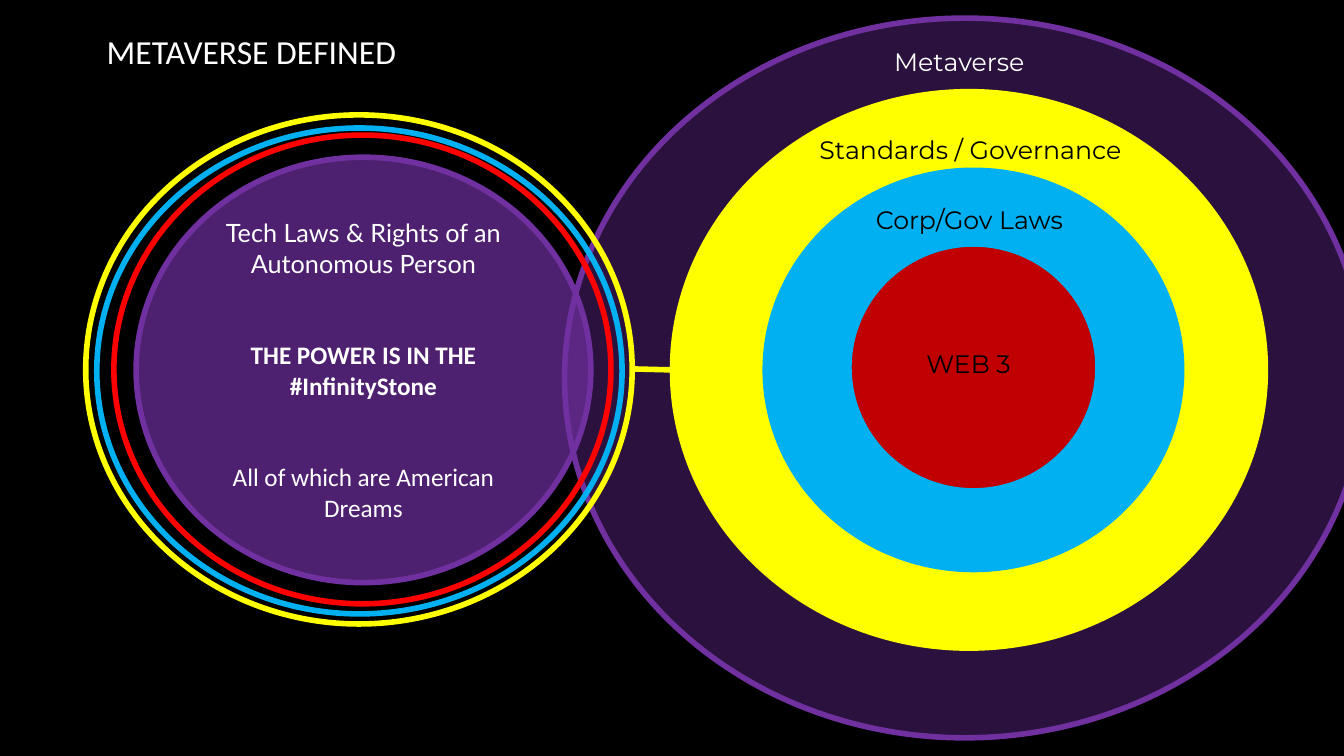
from pptx import Presentation
from pptx.dml.color import RGBColor
from pptx.enum.shapes import MSO_CONNECTOR as CONN, MSO_SHAPE as SHAPE
from pptx.enum.text import MSO_ANCHOR as ANCHOR, PP_ALIGN as ALIGN
from pptx.oxml.ns import qn
from pptx.util import Emu, Pt
from lxml.etree import SubElement

BLACK = RGBColor(0x00, 0x00, 0x00)
WHITE = RGBColor(0xFF, 0xFF, 0xFF)
PURPLE = RGBColor(0x70, 0x30, 0xA0)
YELLOW = RGBColor(0xFF, 0xFF, 0x00)
BLUE = RGBColor(0x00, 0xB0, 0xF0)
RED = RGBColor(0xFF, 0x00, 0x00)
DARK_RED = RGBColor(0xC0, 0x00, 0x00)
LINE_WIDTH = Pt(4)


def px(n):
    return Emu(n * 9144)


def add_ellipse(s, box, line, fill=None, opacity=100):
    sp = s.shapes.add_shape(SHAPE.OVAL, *map(px, box))
    sp.shadow.inherit = False
    sp.line.color.rgb = line
    sp.line.width = LINE_WIDTH
    if fill is None:
        sp.fill.background()
        return sp
    sp.fill.solid()
    sp.fill.fore_color.rgb = fill
    if opacity < 100:
        color = sp.fill._xPr.find(qn("a:solidFill"))[0]
        SubElement(color, qn("a:alpha"), val=str(opacity * 1000))
    return sp


def write(p, text, size=18, font="Calibri", color=WHITE, bold=False,
          align=ALIGN.CENTER, before=0):
    p.alignment = align
    p.space_before = Pt(before)
    p.text = text
    for r in p.runs:
        r.font.size = Pt(size)
        r.font.name = font
        r.font.bold = bold
        r.font.color.rgb = color


def add_label(s, box, text, **fmt):
    tf = s.shapes.add_textbox(*map(px, box)).text_frame
    tf.word_wrap = True
    write(tf.paragraphs[0], text, **fmt)


def add_link(s, x1, y1, x2, y2, color):
    c = s.shapes.add_connector(CONN.STRAIGHT, *map(px, (x1, y1, x2, y2)))
    c.line.color.rgb = color
    c.line.width = LINE_WIDTH
    SubElement(c._element.spPr, qn("a:effectLst"))


def add_person_circle(s):
    sp = add_ellipse(s, (135, 156, 451, 422), PURPLE, PURPLE, 70)
    tf = sp.text_frame
    tf.word_wrap = True
    tf.vertical_anchor = ANCHOR.MIDDLE
    write(tf.paragraphs[0], "Tech Laws & Rights of an Autonomous Person",
          font="Lato")
    write(tf.add_paragraph(), "THE POWER IS IN THE\v#InfinityStone",
          bold=True, before=44)
    write(tf.add_paragraph(), "All of which are American Dreams", before=44)


def main():
    prs = Presentation()
    prs.slide_width, prs.slide_height = px(1333), px(750)
    s = prs.slides.add_slide(prs.slide_layouts[6])
    s.background.fill.solid()
    s.background.fill.fore_color.rgb = BLACK

    add_ellipse(s, (560, 18, 794, 714), PURPLE, PURPLE, 39)
    add_ellipse(s, (113, 134, 493, 465), RED)
    add_ellipse(s, (667, 91, 588, 552), YELLOW, YELLOW)
    add_ellipse(s, (759, 169, 413, 396), BLUE, BLUE)
    add_ellipse(s, (842, 242, 247, 245), BLUE, DARK_RED)
    add_link(s, 627, 366, 667, 367, YELLOW)
    add_ellipse(s, (85, 114, 542, 505), YELLOW)
    add_ellipse(s, (96, 127, 521, 482), BLUE)

    add_label(s, (96, 26, 860, 50), "METAVERSE DEFINED", size=24,
              align=ALIGN.LEFT)
    for box, text, color, align in (
        ((828, 41, 247, 40), "Metaverse", WHITE, ALIGN.CENTER),
        ((756, 128, 413, 40), "Standards / Governance", BLACK, ALIGN.CENTER),
        ((838, 198, 247, 40), "Corp/Gov Laws", BLACK, ALIGN.CENTER),
        ((909, 341, 153, 40), "WEB 3", BLACK, ALIGN.LEFT),
    ):
        add_label(s, box, text, font="Montserrat", color=color, align=align)
    add_person_circle(s)

    prs.save("out.pptx")


if __name__ == "__main__":
    main()
